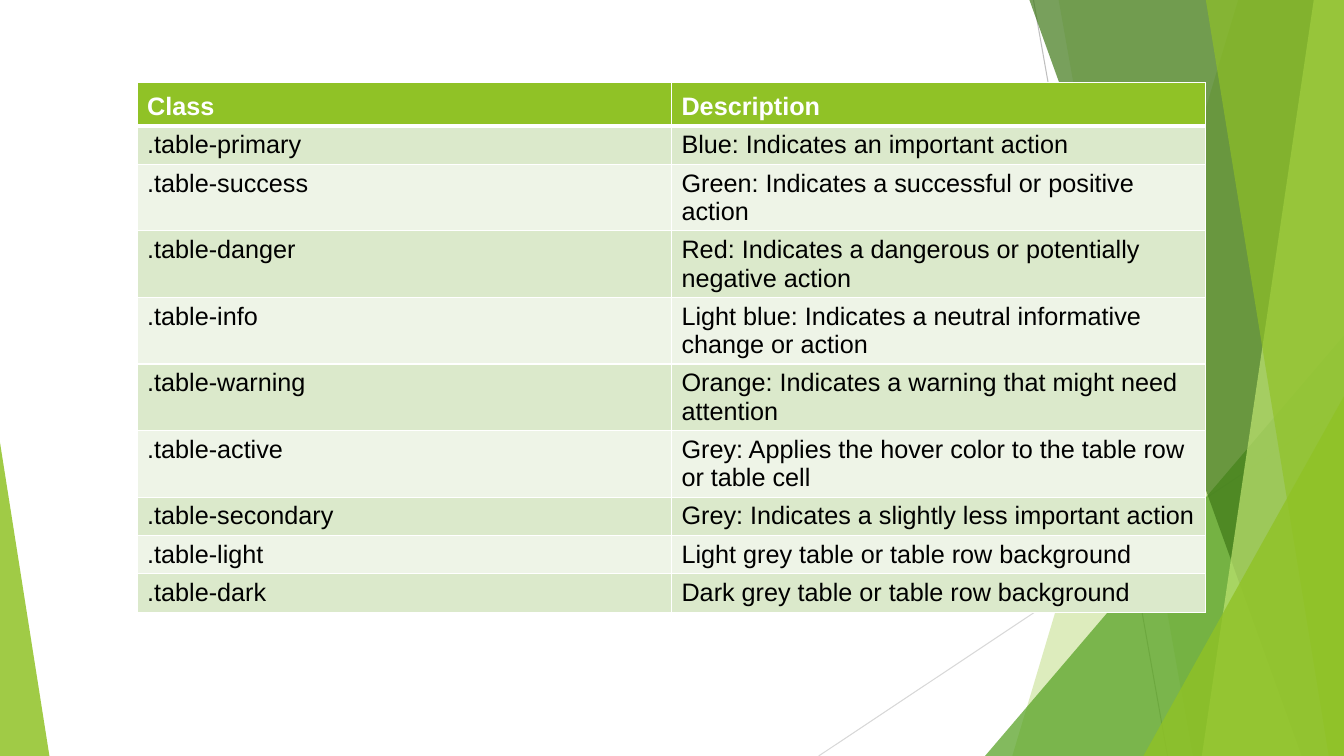
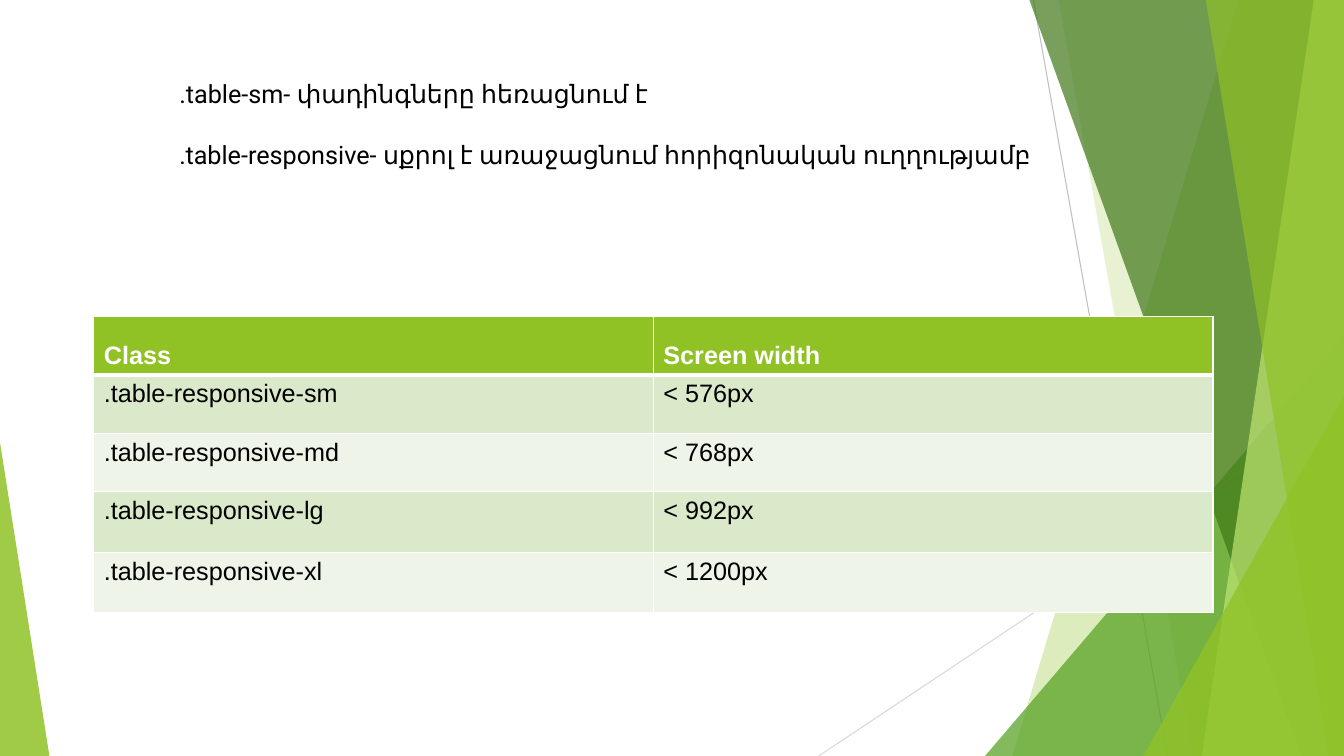
import pptx
import pptx.util
import pptx.dml.color
import pptx.enum.shapes
import pptx.enum.text
import pptx.oxml.ns
import lxml.etree

Inches = pptx.util.Inches
Pt = pptx.util.Pt
RGBColor = pptx.dml.color.RGBColor
qn = pptx.oxml.ns.qn

LIME = RGBColor(0x90, 0xC2, 0x26)
LEAF = RGBColor(0x54, 0xA0, 0x21)
MOSS = RGBColor(0x3F, 0x78, 0x18)
PALE = RGBColor(0xBF, 0xE4, 0x71)
GREY = RGBColor(0xBF, 0xBF, 0xBF)
SILVER = RGBColor(0xD8, 0xD8, 0xD8)
BLACK = RGBColor(0, 0, 0)
WHITE = RGBColor(0xFF, 0xFF, 0xFF)
STRIPES = (RGBColor(0xDB, 0xE9, 0xCB), RGBColor(0xEE, 0xF4, 0xE7))

WIDTH, HEIGHT = 13.33, 7.5

# Content: each table holds its corner, column width, row heights and rows
COLORS = dict(
    left=1.36, top=0.82, width=5.3,
    heights=[0.43, 0.38] + [0.66] * 5 + [0.38] * 3,
    rows=[
        ("Class", "Description"),
        (".table-primary", "Blue: Indicates an important action"),
        (".table-success", "Green: Indicates a successful or positive action"),
        (".table-danger", "Red: Indicates a dangerous or potentially negative action"),
        (".table-info", "Light blue: Indicates a neutral informative change or action"),
        (".table-warning", "Orange: Indicates a warning that might need attention"),
        (".table-active", "Grey: Applies the hover color to the table row or table cell"),
        (".table-secondary", "Grey: Indicates a slightly less important action"),
        (".table-light", "Light grey table or table row background"),
        (".table-dark", "Dark grey table or table row background"),
    ])
SCREENS = dict(
    left=0.93, top=3.14, width=5.55,
    heights=[0.58] * 3 + [0.6] * 2,
    rows=[
        ("Class", "Screen width"),
        (".table-responsive-sm", "< 576px"),
        (".table-responsive-md", "< 768px"),
        (".table-responsive-lg", "< 992px"),
        (".table-responsive-xl", "< 1200px"),
    ])
NOTES = [
    ".table-sm- փադինգները հեռացնում է",
    "․table-responsive- սքրոլ է առաջացնում հորիզոնական ուղղությամբ",
]

# Backdrop: lines, then bands (top x, bottom x) that reach the right edge,
# and wedges (left, top, width, apex) that reach the bottom edge
LINES = [
    ((10.25, 0), (11.58, HEIGHT), GREY),
    ((WIDTH, 4.03), (8.12, HEIGHT), SILVER),
]
PARTS = [
    ("band", (12.28, 10.04), LIME, 30),
    ("band", (10.5, 11.83), LIME, 20),
    ("wedge", (9.77, 3.33, 3.56, 1), LEAF, 72),
    ("band", (10.21, 12.91), MOSS, 70),
    ("band", (13.03, 11.92), PALE, 70),
    ("band", (11.96, 13.18), LIME, 65),
    ("wedge", (11.34, 3.93, 1.99, 1), LIME, 80),
    ("wedge", (0, 4.39, 0.49, 0), LIME, 85),
]


def write(frame, lines, font="Arial", size=18, color=BLACK, bold=False, gap=0):
    frame.word_wrap = True
    for i, line in enumerate(lines):
        para = frame.paragraphs[0] if i == 0 else frame.add_paragraph()
        para.space_before = Pt(gap if i else 0)
        run = para.add_run()
        run.text = line
        run.font.name = font
        run.font.size = Pt(size)
        run.font.bold = bold
        run.font.color.rgb = color


def add_band(slide, top, base):
    start, *rest = [(Inches(x), Inches(y)) for x, y in
                    ((top, 0), (WIDTH, 0), (WIDTH, HEIGHT), (base, HEIGHT))]
    pen = slide.shapes.build_freeform(*start, scale=1.0)
    pen.add_line_segments(rest, close=True)
    return pen.convert_to_shape()


def add_wedge(slide, left, top, width, apex):
    kind = pptx.enum.shapes.MSO_SHAPE.ISOSCELES_TRIANGLE
    shape = slide.shapes.add_shape(
        kind, Inches(left), Inches(top), Inches(width), Inches(HEIGHT - top))
    shape.adjustments[0] = apex
    return shape


def paint(shape, color, alpha):
    shape.shadow.inherit = False
    shape.line.fill.background()
    shape.fill.solid()
    shape.fill.fore_color.rgb = color
    tint = next(shape.fill._xPr.iter(qn("a:srgbClr")))
    lxml.etree.SubElement(tint, qn("a:alpha"), val=str(alpha * 1000))


def add_backdrop(slide):
    for start, end, color in LINES:
        line = slide.shapes.add_connector(
            pptx.enum.shapes.MSO_CONNECTOR.STRAIGHT,
            *(Inches(n) for n in start + end))
        line.line.color.rgb = color
        line.line.width = Pt(0.75)
        lxml.etree.SubElement(line._element.spPr, qn("a:effectLst"))
    makers = {"band": add_band, "wedge": add_wedge}
    for kind, place, color, alpha in PARTS:
        paint(makers[kind](slide, *place), color, alpha)


def edge(cell, top, base):
    props = cell._tc.get_or_add_tcPr()
    for side, width in (("L", 1), ("R", 1), ("T", top), ("B", base)):
        line = lxml.etree.SubElement(props, qn("a:ln" + side), w=str(Pt(width)))
        fill = lxml.etree.SubElement(line, qn("a:solidFill"))
        lxml.etree.SubElement(fill, qn("a:srgbClr"), val=str(WHITE))


def add_table(slide, left, top, width, heights, rows):
    cols = len(rows[0])
    table = slide.shapes.add_table(
        len(rows), cols, Inches(left), Inches(top),
        Inches(width * cols), Inches(sum(heights))).table
    for col in table.columns:
        col.width = Inches(width)
    for r, (height, texts) in enumerate(zip(heights, rows)):
        table.rows[r].height = Inches(height)
        head = r == 0
        for c, text in enumerate(texts):
            cell = table.cell(r, c)
            # The rule under the header is heavier than the others
            edge(cell, 3 if r == 1 else 1, 3 if head else 1)
            cell.fill.solid()
            cell.fill.fore_color.rgb = LIME if head else STRIPES[(r - 1) % 2]
            if head:
                cell.vertical_anchor = pptx.enum.text.MSO_ANCHOR.BOTTOM
            write(cell.text_frame, [text], bold=head,
                  color=WHITE if head else BLACK)


def main():
    deck = pptx.Presentation()
    deck.slide_width, deck.slide_height = Inches(WIDTH), Inches(HEIGHT)
    for data, notes in ((COLORS, None), (SCREENS, NOTES)):
        slide = deck.slides.add_slide(deck.slide_layouts[6])
        add_backdrop(slide)
        if notes:
            box = slide.shapes.add_textbox(
                Inches(1.68), Inches(0.73), Inches(9.26), Inches(1.01))
            write(box.text_frame, notes, font="Roboto", gap=22)
        add_table(slide, **data)
    deck.save("out.pptx")


if __name__ == "__main__":
    main()
